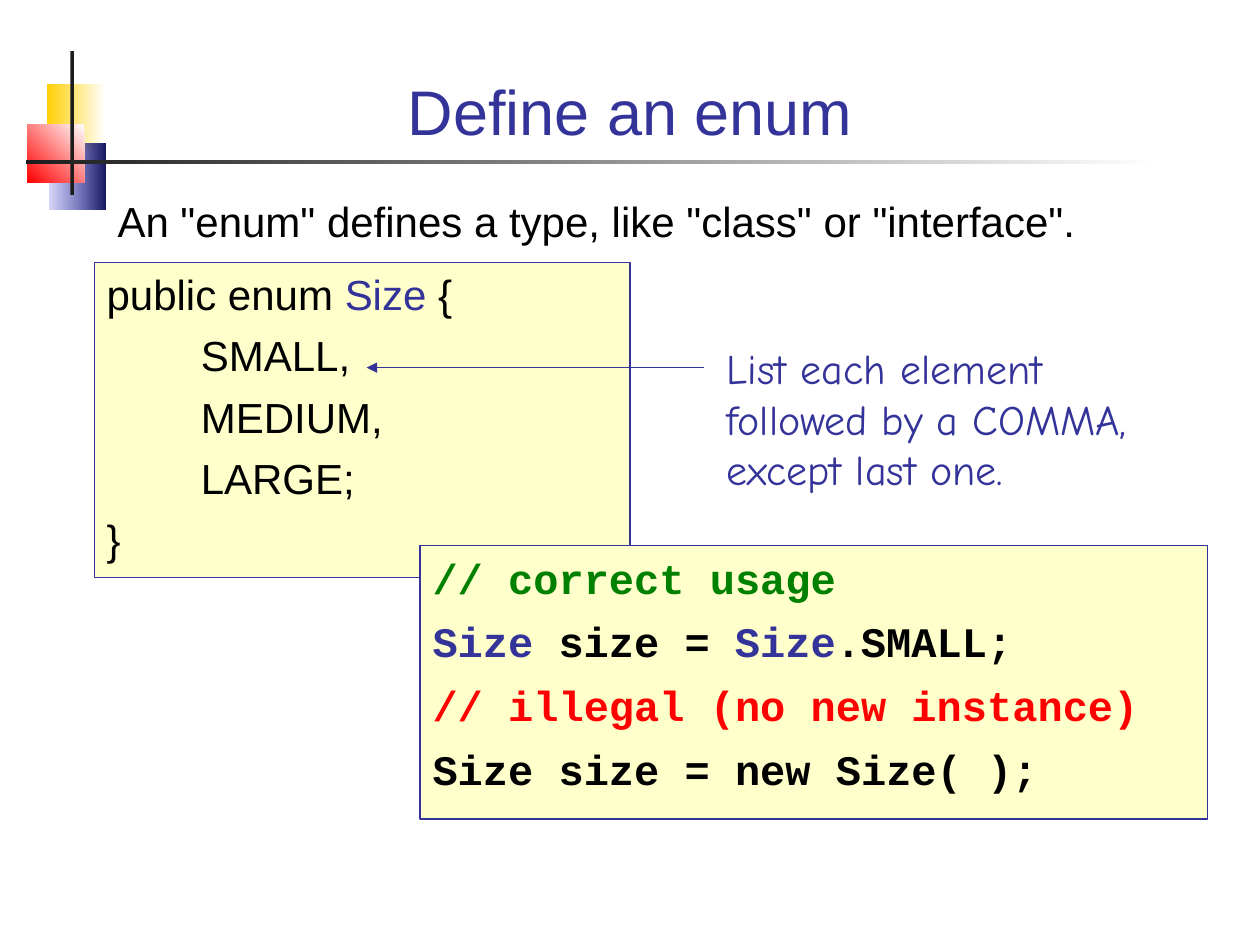
from lxml.etree import SubElement
from pptx import Presentation
from pptx.dml.color import RGBColor
from pptx.enum.shapes import MSO_CONNECTOR, MSO_SHAPE
from pptx.enum.text import MSO_ANCHOR, PP_ALIGN
from pptx.oxml.ns import qn
from pptx.util import Cm, Pt

INDIGO = RGBColor(0x33, 0x33, 0x99)
BLACK = RGBColor(0, 0, 0)
GREEN = RGBColor(0, 0x80, 0)
RED = RGBColor(0xFF, 0, 0)
WHITE = RGBColor(0xFF, 0xFF, 0xFF)
CREAM = RGBColor(0xFF, 0xFF, 0xCC)
YELLOW = RGBColor(0xFF, 0xCF, 0x01)
NAVY = RGBColor(0x17, 0x17, 0x5E)
BLUE = RGBColor(0x33, 0x33, 0xCC)
CHARCOAL = RGBColor(0x1C, 0x1C, 0x1C)

LINE_HEIGHT = Pt(28.9)
CODE_INDENT = 1.9

# Left, top, width, height in cm; start and end colour; angle; end opacity in percent
DECORATIONS = [
    ((0.94, 1.7, 1.19, 1.32), WHITE, YELLOW, 180, 100),
    ((0.99, 2.9, 1.14, 1.32), NAVY, BLUE, 180, 20),
    ((0.56, 2.51, 1.14, 1.17), WHITE, RED, 225, 100),
    ((1.42, 1.02, 0.08, 2.92), CHARCOAL, CHARCOAL, 180, 100),
    ((0.53, 3.23, 22.83, 0.08), WHITE, CHARCOAL, 180, 100),
]

TITLE = "Define an enum"

# Each line of text: left margin in cm, then its runs
DEFINITION = [
    (0, [("public enum ", BLACK), ("Size", INDIGO), (" {", BLACK)]),
    (CODE_INDENT, [("SMALL,", BLACK)]),
    (CODE_INDENT, [("MEDIUM,", BLACK)]),
    (CODE_INDENT, [("LARGE;", BLACK)]),
    (0, [("}", BLACK)]),
]
INTRODUCTION = [
    (0, [('An "enum" defines a type, like "class" or "interface".', BLACK)]),
]
USAGE = [
    (0, [("// correct usage", GREEN)]),
    (0, [("Size", INDIGO), (" size = ", BLACK), ("Size", INDIGO), (".SMALL;", BLACK)]),
    (0, [("// illegal (no new instance)", RED)]),
    (0, [("Size size = new Size( );", BLACK)]),
]
COMMENT = [
    (0, [("List each element followed by a COMMA, except last one.", INDIGO)]),
]

# Position in cm, lines, font, bold, space between lines in points, framed
TEXTS = [
    ((1.9, 5.29, 10.8, 6.35), DEFINITION, "Arial", False, 6, True),
    ((2.12, 3.81, 21.16, 1.27), INTRODUCTION, "Arial", False, 0, False),
    ((8.47, 11, 15.87, 5.51), USAGE, "Courier New", True, 7.5, True),
    ((14.4, 6.78, 9.95, 3.3), COMMENT, "Comic Neue", False, 0, False),
]
ARROW = (14.2, 7.41, 7.39, 7.41)


def lengths(values):
    return [Cm(value) for value in values]


def add_run(paragraph, text, font_name, size, color, bold=False):
    run = paragraph.add_run()
    run.text = text
    run.font.name = font_name
    run.font.size = Pt(size)
    run.font.bold = bold
    run.font.color.rgb = color


def add_rectangle(slide, box):
    shape = slide.shapes.add_shape(MSO_SHAPE.RECTANGLE, *lengths(box))
    shape.shadow.inherit = False
    return shape


def add_decoration(slide, box, start, end, angle, opacity):
    shape = add_rectangle(slide, box)
    shape.line.fill.background()
    shape.fill.gradient()
    shape.fill.gradient_angle = angle
    for stop, color in zip(shape.fill.gradient_stops, (start, end)):
        stop.color.rgb = color
    if opacity < 100:
        end_color = list(shape._element.spPr.iter(qn("a:srgbClr")))[-1]
        SubElement(end_color, qn("a:alpha"), val=str(opacity * 1000))


def add_text(slide, box, lines, font_name, bold, gap, framed):
    if framed:
        shape = add_rectangle(slide, box)
        shape.fill.solid()
        shape.fill.fore_color.rgb = CREAM
        shape.line.color.rgb = INDIGO
        shape.line.width = Pt(0.75)
    else:
        shape = slide.shapes.add_textbox(*lengths(box))
    frame = shape.text_frame
    frame.word_wrap = True
    frame.vertical_anchor = MSO_ANCHOR.TOP
    for index, (margin, runs) in enumerate(lines):
        paragraph = frame.add_paragraph() if index else frame.paragraphs[0]
        paragraph.alignment = PP_ALIGN.LEFT
        paragraph.line_spacing = LINE_HEIGHT
        paragraph.space_before = Pt(gap if index else 0)
        paragraph._p.get_or_add_pPr().set("marL", str(Cm(margin)))
        for text, color in runs:
            add_run(paragraph, text, font_name, 24, color, bold)


def add_arrow(slide, ends):
    arrow = slide.shapes.add_connector(MSO_CONNECTOR.STRAIGHT, *lengths(ends))
    arrow.line.color.rgb = INDIGO
    arrow.line.width = Pt(0.75)
    SubElement(arrow.line._get_or_add_ln(), qn("a:tailEnd"), type="triangle")
    SubElement(arrow._element.spPr, qn("a:effectLst"))


def main():
    presentation = Presentation()
    presentation.slide_width, presentation.slide_height = Cm(25.4), Cm(19.05)
    slide = presentation.slides.add_slide(presentation.slide_layouts[5])

    for decoration in DECORATIONS:
        add_decoration(slide, *decoration)

    title = slide.shapes.title
    title.left, title.top, title.width, title.height = lengths((1.7, 0.71, 22, 2.41))
    title.text_frame.vertical_anchor = MSO_ANCHOR.BOTTOM
    paragraph = title.text_frame.paragraphs[0]
    paragraph.alignment = PP_ALIGN.CENTER
    add_run(paragraph, TITLE, "Arial", 36, INDIGO)

    for text in TEXTS:
        add_text(slide, *text)
    add_arrow(slide, ARROW)
    presentation.save("out.pptx")


if __name__ == "__main__":
    main()
